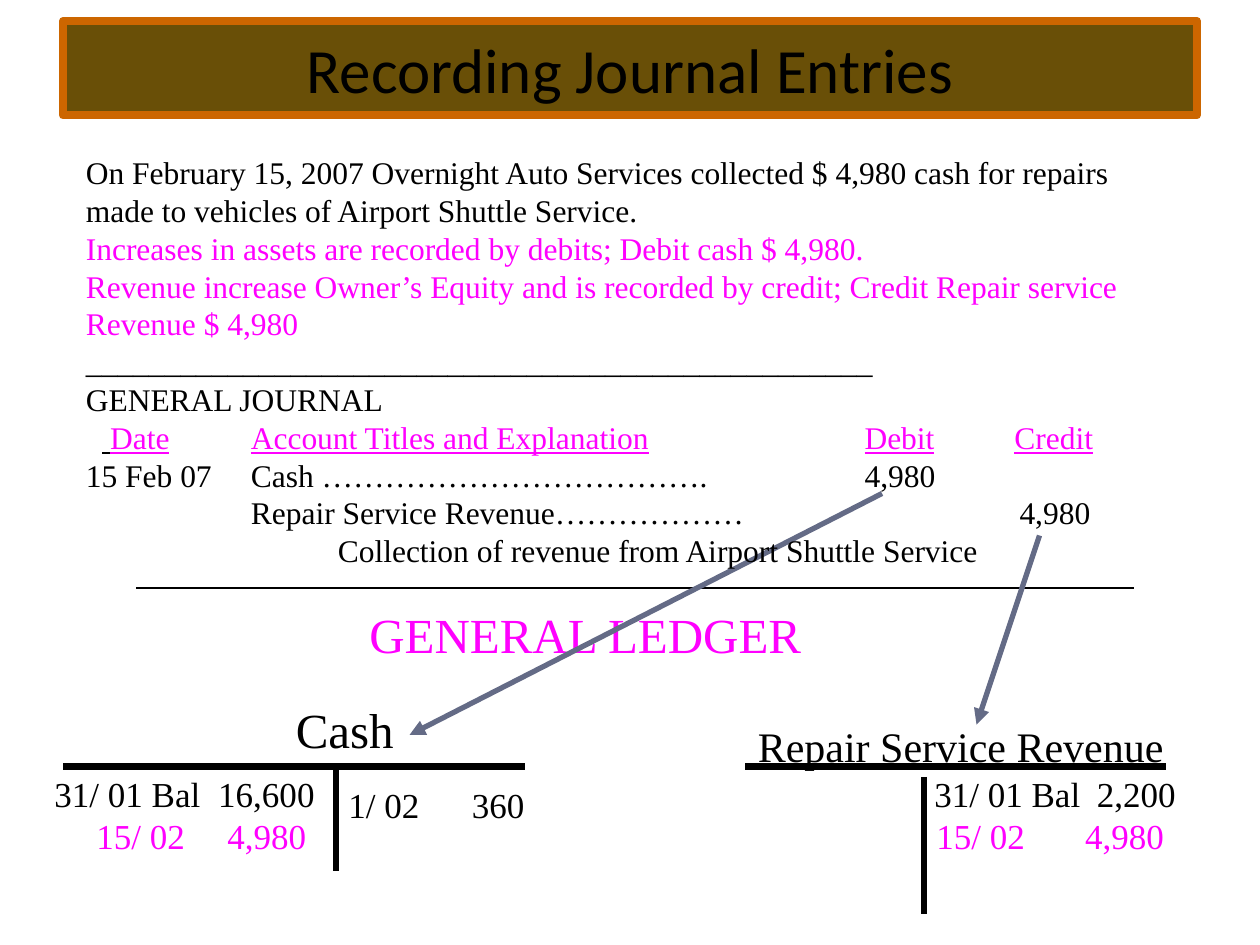
"""Build a slide that posts a journal entry to two ledger accounts."""
import pptx
import pptx.util
import pptx.dml.color
import pptx.enum.shapes
import pptx.enum.text
import pptx.oxml.ns
from lxml import etree

COLS, ROWS = 120, 90
SERIF, SANS = "Times New Roman", "Calibri"
INK, PINK, SLATE = "000000", "FF00FF", "646B86"
BROWN, RUST = "694F07", "CC6600"

TITLE = "Recording Journal Entries"

LEDGER = [
    ("Repair Service Revenue", (71, 68, 44, 6), 24, INK, ()),
    ("GENERAL LEDGER", (34, 57, 43.7, 6.8), 28, PINK, ()),
    ("Cash", (27, 66, 18, 6.8), 28, INK, ()),
    ("31/ 01 Bal\t16,600", (4, 73, 29, 5.3), 20, INK, (1.3,)),
    ("15/ 02\t4,980", (8, 77, 23, 5.3), 20, PINK, (1.04,)),
    ("1/ 02\t360", (32, 74, 20, 5.3), 20, INK, (0.98,)),
    ("31/ 01 Bal\t2,200", (87.8, 73, 28.2, 5.3), 20, INK, (1.29,)),
    ("15/ 02\t4,980", (88, 77, 25, 5.3), 20, PINK, (1.18,)),
]

LINES = [
    ((71, 73), (111, 73), INK, 4.5, False),
    ((88, 74), (88, 87), INK, 3, False),
    ((6, 73), (50, 73), INK, 4.5, False),
    ((32, 73), (32, 83), INK, 3, False),
    ((13, 56), (108, 56), INK, 0.75, False),
    ((84, 47), (39, 70), SLATE, 3, True),
    ((99, 51), (93, 69), SLATE, 3, True),
]

HEAD = [
    ("\t", INK, False), (" ", INK, True), ("Date", PINK, True),
    ("\t", PINK, False), ("Account Titles and Explanation", PINK, True),
    ("\t", PINK, False), ("Debit", PINK, True),
    ("\t", PINK, False), ("Credit", PINK, True),
]

JOURNAL = [
    ("On February 15, 2007 Overnight Auto Services collected $ 4,980 cash "
     "for repairs made to vehicles of Airport Shuttle Service.", INK, ()),
    ("Increases in assets are recorded by debits; Debit cash $ 4,980.", PINK, ()),
    ("Revenue increase Owner’s Equity and is recorded by credit; "
     "Credit Repair service Revenue $ 4,980", PINK, ()),
    ("_" * 50, INK, ()),
    ("GENERAL JOURNAL", INK, ()),
    (HEAD, INK, (0.13, 1.31, 6.18, 7.37)),
    ("15 Feb 07\tCash ……………………………….\t4,980", INK, (1.31, 6.18)),
    ("\tRepair Service Revenue………………\t4,980", INK, (1.31, 7.41)),
    ("\tCollection of revenue from Airport Shuttle Service", INK, (2,)),
]

deck = pptx.Presentation()
deck.slide_width = pptx.util.Inches(10)
deck.slide_height = pptx.util.Inches(7.5)
slide = deck.slides.add_slide(deck.slide_layouts[6])


def tint(code):
    return pptx.dml.color.RGBColor.from_string(code)


def place(*nums):
    sides = (deck.slide_width / COLS, deck.slide_height / ROWS)
    return [round(n * sides[i % 2]) for i, n in enumerate(nums)]


def child(node, tag, **attrs):
    return etree.SubElement(node, pptx.oxml.ns.qn(tag), attrs)


def write(par, text, size=18, color=INK, font=SERIF, tabs=(), align="LEFT"):
    par.alignment = getattr(pptx.enum.text.PP_ALIGN, align)
    if tabs:
        stops = child(par._p.get_or_add_pPr(), "a:tabLst")
        for stop in tabs:
            child(stops, "a:tab", pos=str(pptx.util.Inches(stop)), algn="l")
    parts = [(text, color, False)] if isinstance(text, str) else text
    for words, shade, under in parts:
        run = par.add_run()
        run.text = words
        run.font.name = font
        run.font.size = pptx.util.Pt(size)
        run.font.color.rgb = tint(shade)
        run.font.underline = under


def box(area):
    frame = slide.shapes.add_textbox(*place(*area)).text_frame
    frame.word_wrap = True
    return frame


def rule(start, end, color, width, arrow):
    line = slide.shapes.add_connector(
        pptx.enum.shapes.MSO_CONNECTOR.STRAIGHT, *place(*start, *end))
    line.line.color.rgb = tint(color)
    line.line.width = pptx.util.Pt(width)
    if arrow:
        child(line.line._get_or_add_ln(), "a:tailEnd", type="triangle")
    child(line._element.spPr, "a:effectLst")


def banner(text, area):
    shape = slide.shapes.add_shape(
        pptx.enum.shapes.MSO_SHAPE.RECTANGLE, *place(*area))
    shape.shadow.inherit = False
    shape.fill.solid()
    shape.fill.fore_color.rgb = tint(BROWN)
    shape.line.color.rgb = tint(RUST)
    shape.line.width = pptx.util.Pt(4.5)
    shape.text_frame.vertical_anchor = pptx.enum.text.MSO_ANCHOR.MIDDLE
    write(shape.text_frame.paragraphs[0], text, size=36, font=SANS, align="CENTER")


def main():
    banner(TITLE, (6, 2, 108, 9))
    for text, area, size, color, tabs in LEDGER:
        write(box(area).paragraphs[0], text, size=size, color=color, tabs=tabs)
    for item in LINES:
        rule(*item)
    frame = box((7, 14, 107, 40.8))
    for i, (text, color, tabs) in enumerate(JOURNAL):
        par = frame.add_paragraph() if i else frame.paragraphs[0]
        write(par, text, color=color, tabs=tabs)
    deck.save("out.pptx")


if __name__ == "__main__":
    main()
